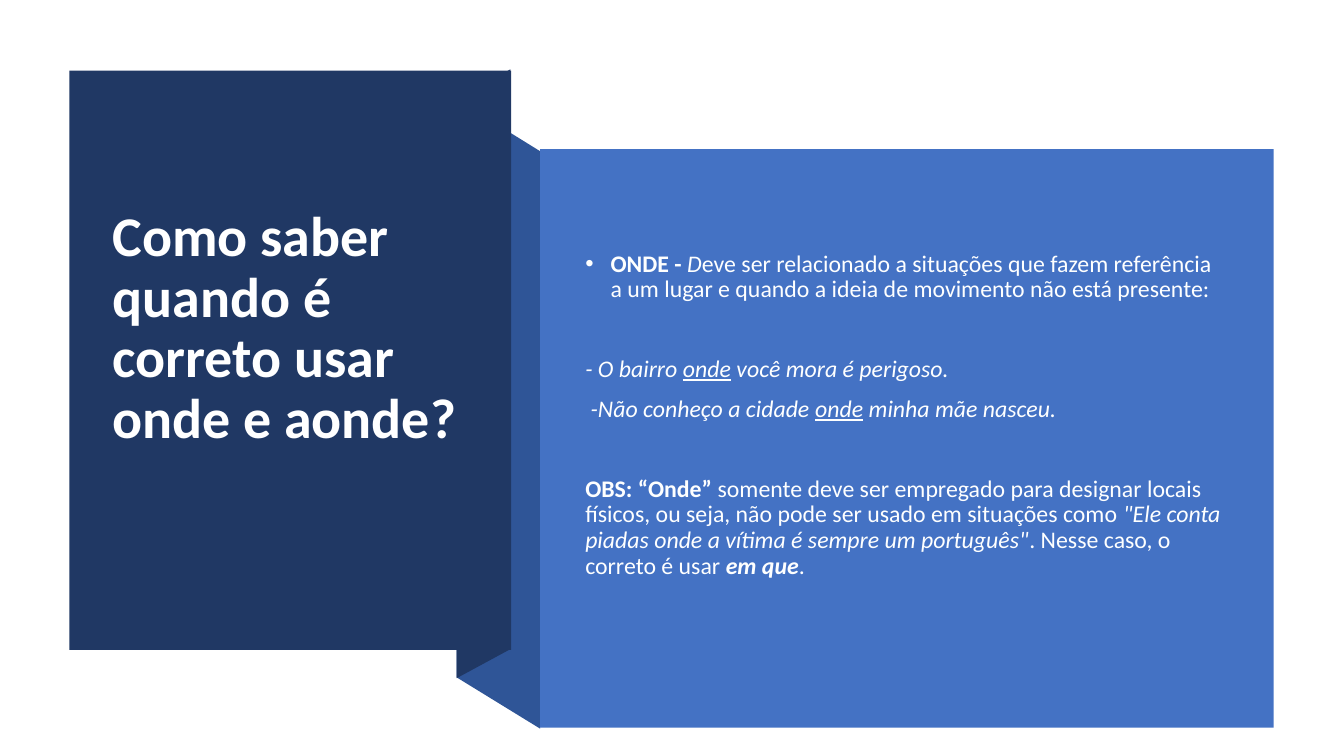
from dataclasses import dataclass

from lxml.etree import SubElement
from pptx import Presentation
from pptx.dml.color import RGBColor as RGB
from pptx.enum.shapes import MSO_SHAPE as SHAPE
from pptx.enum.text import MSO_ANCHOR as ANCHOR
from pptx.oxml.ns import qn
from pptx.util import Cm, Pt


@dataclass(frozen=True)
class Theme:
    font: str = "Calibri"
    navy: RGB = RGB(0x20, 0x38, 0x64)
    fold: RGB = RGB(0x2F, 0x55, 0x97)
    blue: RGB = RGB(0x44, 0x72, 0xC4)
    title_text: RGB = RGB(0xFF, 0xFF, 0xFF)
    body_text: RGB = RGB(0xFE, 0xFF, 0xFF)
    title_size: Pt = Pt(40)
    body_size: Pt = Pt(17)
    line_spacing: float = 0.9


THEME = Theme()
TIGHT, WIDE = Pt(10), Pt(38.7)

# Each paragraph: space before, bulleted, runs of (text, style letters b/i/u)
BODY = [
    (Pt(0), True, [
        ("ONDE - ", "b"), ("D", "i"),
        ("eve ser relacionado a situações que fazem referência a um lugar "
         "e quando a ideia de movimento não está presente:", "")]),
    (WIDE, False, [
        ("- O bairro ", "i"), ("onde", "iu"), (" você mora é perigoso.", "i")]),
    (TIGHT, False, [
        (" -Não conheço a cidade ", "i"), ("onde", "iu"),
        (" minha mãe nasceu.", "i")]),
    (WIDE, False, [
        ("OBS: “Onde”", "b"),
        (" somente deve ser empregado para designar locais físicos, ou seja, "
         "não pode ser usado em situações como ", ""),
        ('"Ele conta piadas onde a vítima é sempre um português"', "i"),
        (". Nesse caso, o correto é usar ", ""), ("em que", "bi"), (".", "")]),
]


def paint(sp, color):
    sp.shadow.inherit = False
    sp.fill.solid()
    sp.fill.fore_color.rgb = color
    sp.line.fill.background()


def add_panel(s, x, y, w, h, color):
    sp = s.shapes.add_shape(SHAPE.RECTANGLE, Cm(x), Cm(y), Cm(w), Cm(h))
    paint(sp, color)


def add_polygon(s, points, color):
    points = [(Cm(x), Cm(y)) for x, y in points]
    builder = s.shapes.build_freeform(*points[0])
    builder.add_line_segments(points[1:], close=True)
    paint(builder.convert_to_shape(), color)


def add_text_frame(s, x, y, w, h, top=0.13, bottom=0.13):
    tf = s.shapes.add_textbox(Cm(x), Cm(y), Cm(w), Cm(h)).text_frame
    tf.word_wrap = True
    tf.vertical_anchor = ANCHOR.MIDDLE
    tf.margin_top, tf.margin_bottom = Cm(top), Cm(bottom)
    return tf


def style_run(r, size, color, style):
    f = r.font
    f.name, f.size, f.color.rgb = THEME.font, size, color
    f.bold, f.italic, f.underline = (letter in style for letter in "biu")


def add_bullet(p, indent):
    pPr = p._p.get_or_add_pPr()
    pPr.set("marL", str(indent))
    pPr.set("indent", str(-indent))
    SubElement(pPr, qn("a:buFont")).set("typeface", "Arial")
    SubElement(pPr, qn("a:buChar")).set("char", "•")


def ribbon_fold(s, x, y, w, h):
    """Folded band that links the two panels."""
    right, bottom, crease = x + w, y + h, x + 1.35
    add_polygon(s, [(right, bottom), (x, bottom - 1.29),
                    (x, y + 0.76), (right, y + 2.06)], THEME.fold)
    add_polygon(s, [(crease, bottom - 2), (x, bottom - 1.27),
                    (x, y + 0.74), (crease, y)], THEME.navy)


def title_panel(s, x, y, w, h):
    add_panel(s, x, y, w, h, THEME.navy)
    # The deep bottom inset lifts the title above the centre
    tf = add_text_frame(s, x + 0.84, y + 0.94, w - 1.71, h - 1.93, bottom=1.65)
    tf.text = "Como saber quando é correto usar onde e aonde?"
    p = tf.paragraphs[0]
    p.line_spacing = THEME.line_spacing
    style_run(p.runs[0], THEME.title_size, THEME.title_text, "b")


def body_panel(s, x, y, w, h):
    add_panel(s, x, y, w, h, THEME.blue)
    tf = add_text_frame(s, x + 0.89, y + 1.02, w - 1.95, h - 2.54,
                        top=0.48, bottom=1.14)
    for i, (space, bulleted, runs) in enumerate(BODY):
        p = tf.add_paragraph() if i else tf.paragraphs[0]
        p.line_spacing, p.space_before = THEME.line_spacing, space
        if bulleted:
            add_bullet(p, Cm(0.64))
        for text, style in runs:
            r = p.add_run()
            r.text = text
            style_run(r, THEME.body_size, THEME.body_text, style)


def main():
    prs = Presentation()
    prs.slide_width, prs.slide_height = Cm(33.87), Cm(19.05)
    s = prs.slides.add_slide(prs.slide_layouts[6])
    ribbon_fold(s, 11.51, 1.75, 2.1, 16.61)
    title_panel(s, 1.75, 1.78, 11.13, 14.6)
    body_panel(s, 13.61, 3.76, 18.49, 14.58)
    prs.save("out.pptx")


if __name__ == "__main__":
    main()
